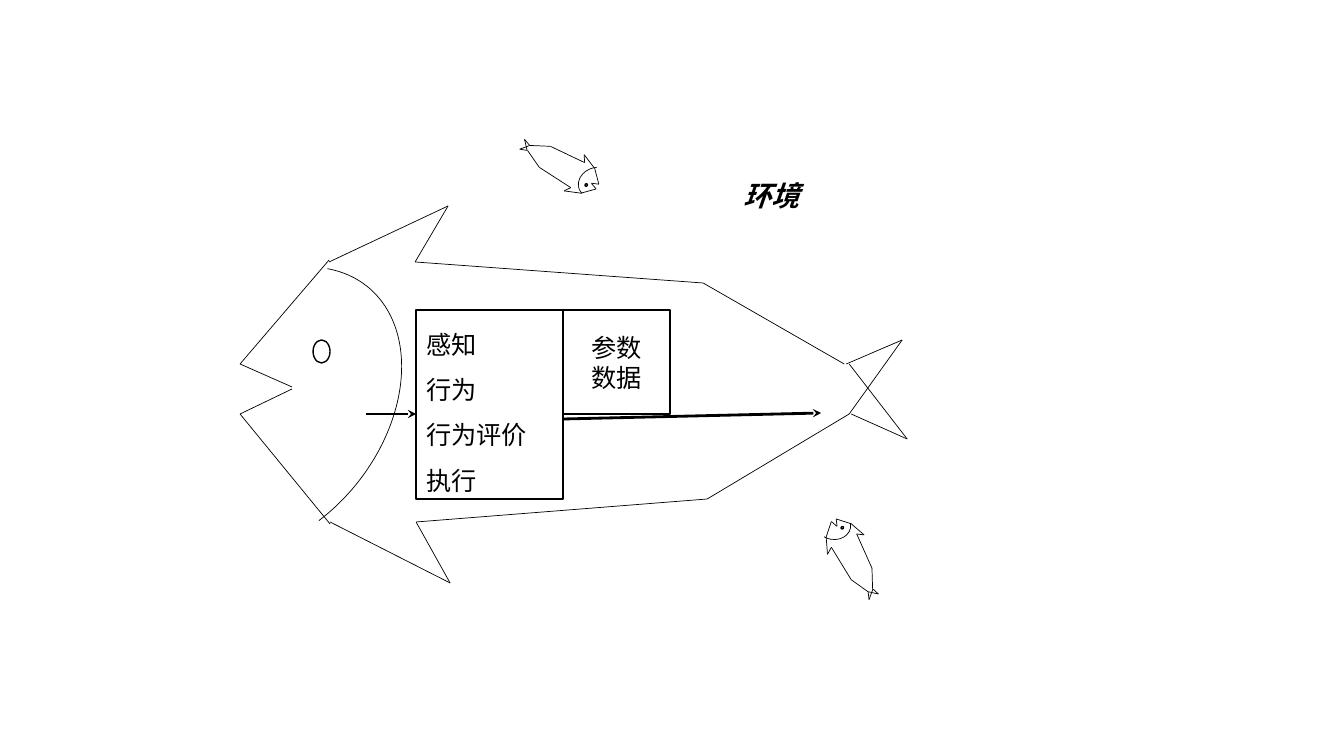
"""Build a slide showing the parts of an artificial fish among its neighbours."""
from itertools import pairwise
from math import cos, radians, sin

from lxml import etree
from pptx import Presentation
from pptx.dml.color import RGBColor
from pptx.enum.shapes import MSO_CONNECTOR, MSO_SHAPE
from pptx.enum.text import MSO_ANCHOR, MSO_AUTO_SIZE, PP_ALIGN
from pptx.oxml.ns import qn
from pptx.util import Inches, Pt

LINE = MSO_CONNECTOR.STRAIGHT
RECT, OVAL, ARC = MSO_SHAPE.RECTANGLE, MSO_SHAPE.OVAL, MSO_SHAPE.ARC
LEFT, CENTER = PP_ALIGN.LEFT, PP_ALIGN.CENTER
MIDDLE, FIT = MSO_ANCHOR.MIDDLE, MSO_AUTO_SIZE.SHAPE_TO_FIT_TEXT
BLACK = "000000"

CHAINS = [
    [(292, 387), (240, 364), (329, 260)],
    [(329, 262), (448, 206), (415, 262), (703, 283), (844, 364)],
    [(846, 364), (902, 340), (849, 414)],
    [(292, 389), (240, 414), (330, 524)],
    [(330, 522), (450, 583), (416, 522), (707, 499), (849, 414)],
    [(851, 414), (907, 439), (849, 364)],
]
SNOUT = (240, 364)
EYE = (313, 340, 17, 23)
GILL = (151, 251, 231, 321)
GILL_TURN, GILL_ENDS = 38.9, (152.51, 15.3)

MAIN = {"snout": SNOUT, "scale": (1, 1), "turn": 0}
SMALL = [
    {"snout": (596, 189), "scale": (0.13, 0.11), "turn": 209.3},
    {"snout": (836, 519), "scale": (0.13, 0.11), "turn": 62.4},
]
BOXES = [
    ((416, 310, 147, 189), ["感知", "行为", "行为评价", "执行"],
     {"alignment": LEFT, "line_spacing": 1.5}, {"name": "Arial", "size": Pt(18)}),
    ((563, 310, 107, 104), ["参数", "数据"],
     {"alignment": CENTER}, {"name": "Calibri", "size": Pt(18)}),
]
ARROWS = [((366, 414), (416, 414)), ((563, 419), (821, 413))]
LABEL = ((733, 174, 129, 44), ["环境"], {"alignment": LEFT},
         {"name": "Calibri", "size": Pt(20), "bold": True, "italic": True})


def px(n):
    return round(n * 914400 / 100.8)


def color(text):
    return RGBColor.from_string(text)


def apply(item, values):
    for key, value in values.items():
        setattr(item, key, value)


def stroke(item, width):
    item.line.color.rgb = color(BLACK)
    item.line.width = Pt(width)


def draw(home, kind, box, width, turn=0):
    shape = home.add_shape(kind, *map(px, box))
    shape.shadow.inherit = False
    shape.fill.background()
    shape.rotation = turn % 360
    stroke(shape, width)
    return shape


def link(home, start, end, width, head=None):
    line = home.add_connector(LINE, *map(px, (*start, *end)))
    stroke(line, width)
    if head:
        tip = etree.SubElement(line.line._get_or_add_ln(), qn("a:tailEnd"))
        tip.set("type", head)
    etree.SubElement(line._element.spPr, qn("a:effectLst"))


def write(shape, rows, para, font):
    frame = shape.text_frame
    frame.text = "\n".join(rows)
    for row in frame.paragraphs:
        apply(row, para)
        for run in row.runs:
            apply(run.font, font)
            run.font.color.rgb = color(BLACK)


def swim(shapes, snout, scale, turn):
    home = shapes.add_group_shape().shapes
    c, s = cos(radians(turn)), sin(radians(turn))

    def place(spot):
        x, y = ((p - q) * k for p, q, k in zip(spot, SNOUT, scale))
        return snout[0] + x * c - y * s, snout[1] + x * s + y * c

    def fit(box):
        x, y, w, h = box
        mid = place((x + w / 2, y + h / 2))
        w, h = w * scale[0], h * scale[1]
        return mid[0] - w / 2, mid[1] - h / 2, w, h

    draw(home, OVAL, fit(EYE), 1, turn)
    for chain in CHAINS:
        for start, end in pairwise(map(place, chain)):
            link(home, start, end, 0.5)
    gill = draw(home, ARC, fit(GILL), 0.5, turn + GILL_TURN)
    for i, end in enumerate(GILL_ENDS):
        gill.adjustments[i] = end


deck = Presentation()
apply(deck, {"slide_width": Inches(13.33), "slide_height": Inches(7.5)})
shapes = deck.slides.add_slide(deck.slide_layouts[6]).shapes

swim(shapes, **MAIN)
for box, *text in BOXES:
    shape = draw(shapes, RECT, box, 1)
    apply(shape.text_frame, {"word_wrap": True, "vertical_anchor": MIDDLE})
    write(shape, *text)
for start, end in ARROWS:
    link(shapes, start, end, 2, "stealth")
for fish in SMALL:
    swim(shapes, **fish)
box, *text = LABEL
label = shapes.add_textbox(*map(px, box))
apply(label.text_frame, {"word_wrap": True, "auto_size": FIT})
write(label, *text)

deck.save("out.pptx")
